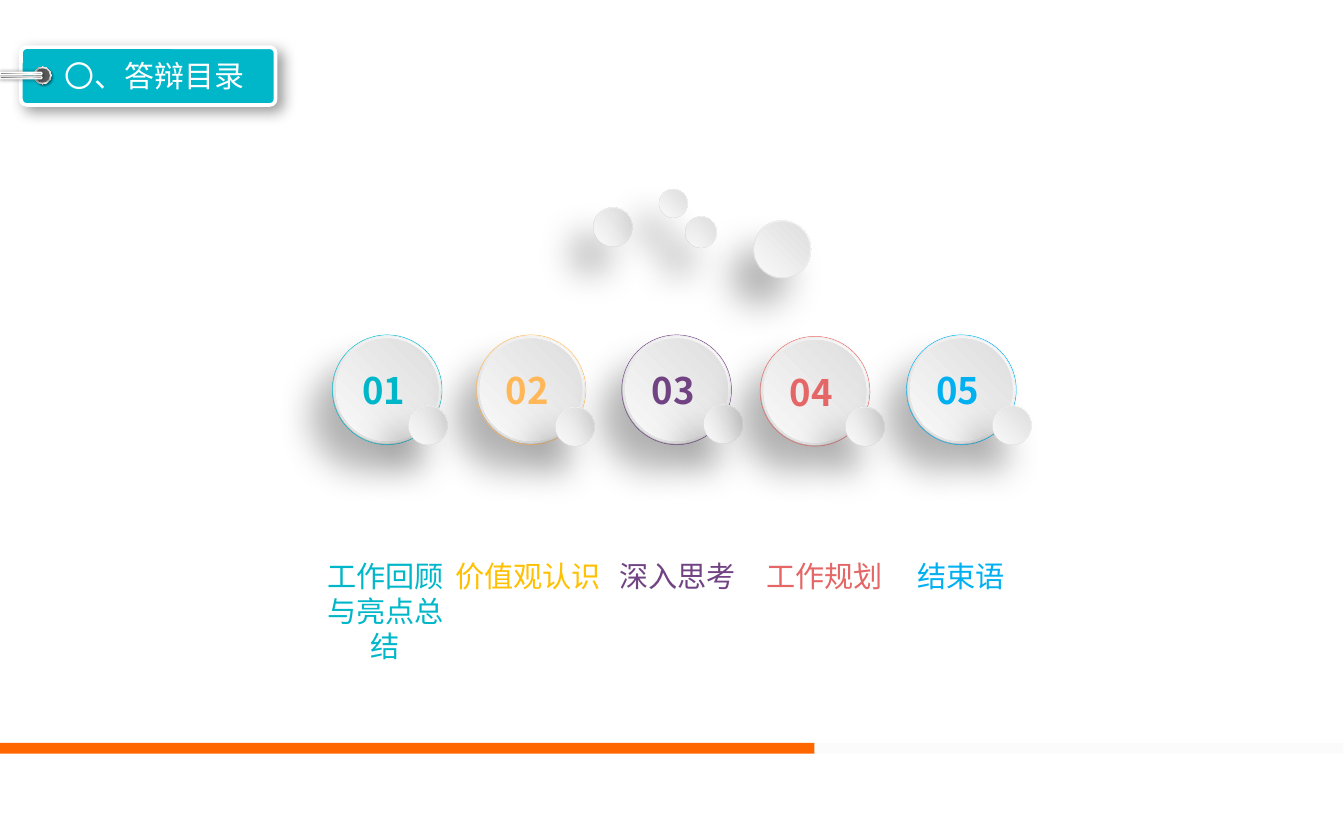
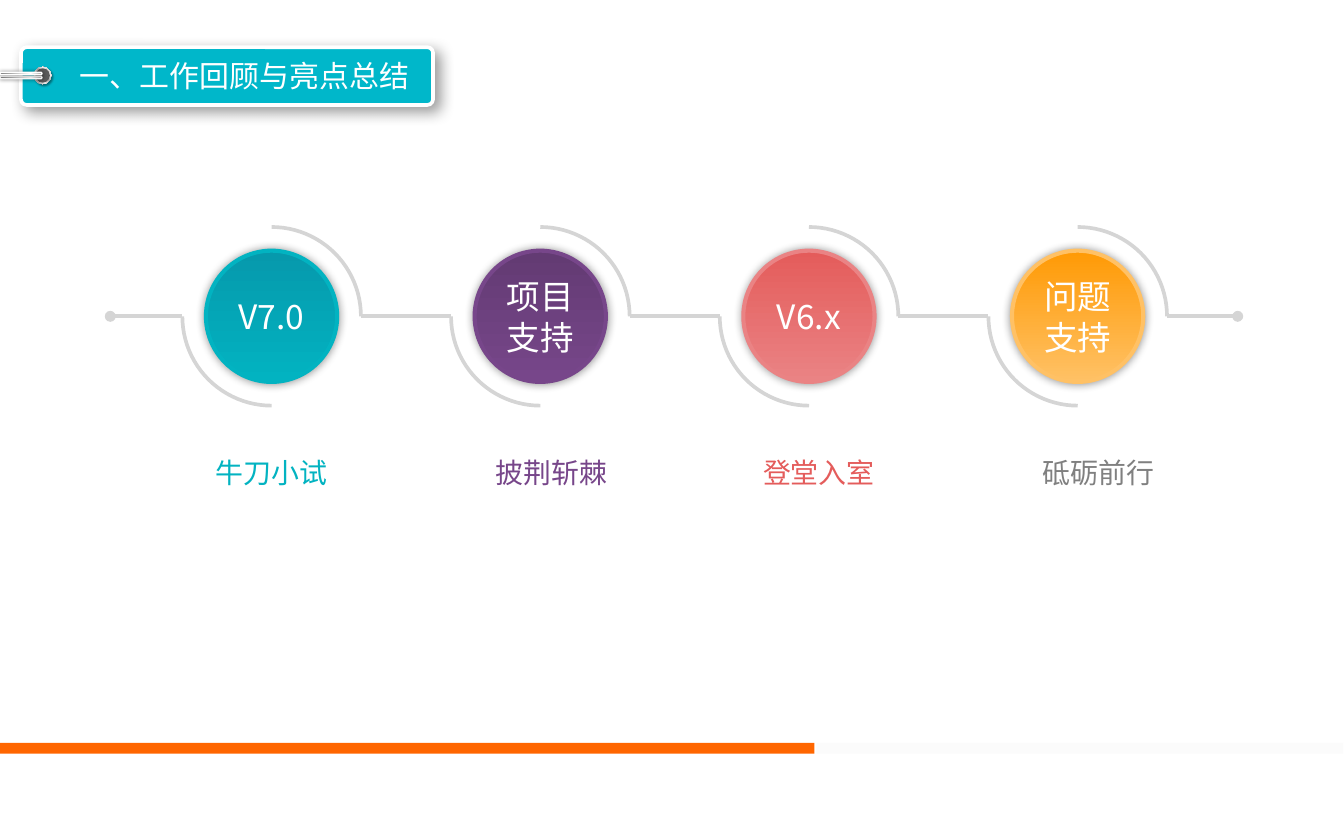
import pptx
import pptx.util
import pptx.dml.color
import pptx.enum.shapes
import pptx.enum.text
import pptx.oxml
import pptx.oxml.ns

Pt = pptx.util.Pt
SHAPE = pptx.enum.shapes.MSO_SHAPE
ALIGN = pptx.enum.text.PP_ALIGN
ANCHOR = pptx.enum.text.MSO_ANCHOR
qn = pptx.oxml.ns.qn

FONT = "Noto Sans CJK SC"
COLOURS = {
    "teal": "00B7CA", "amber": "FFB757", "gold": "FFC000", "purple": "714383",
    "coral": "E56666", "sky": "00B0F0", "white": "FFFFFF", "orange": "FF6600",
    "pale": "FBFBFB", "rail": "D5D5D5", "hole": "595959", "grey": "808080",
    "teal_top": "0699AC", "teal_end": "02B3C1", "purple_top": "633B73", "purple_end": "77468A",
    "coral_top": "E45C5B", "coral_end": "EA8384", "orange_top": "FF9A05", "orange_end": "FFC165",
}
PEARL_RIM = [(0, "FFFFFF"), (100, "D9D9D9")]
PEARL_FACE = [(0, "D9D9D9"), (100, "FEFEFE")]
STEEL_RING = [(0, "FFFFFF"), (17, "A6A6A6"), (35, "F2F2F2"), (55, "A6A6A6"), (75, "F2F2F2"), (100, "A6A6A6")]
STEEL_WIRE = [(0, "808080"), (23, "A6A6A6"), (52, "D9D9D9"), (74, "FFFFFF"), (100, "A6A6A6")]

# Shadows: opacity %, blur, distance, direction
PEARL_SHADOW = (30, 20, 19, 130)
PLATE_SHADOW = (40, 8, 4, 45)
RING_SHADOW = (40, 1, 1, 45)
WIRE_SHADOW = (40, 2, 0, 0)
STAGE_SHADOW = (40, 5, 0, 0)

# Title, plate width, text left, text width
AGENDA_TITLE = ("〇、答辩目录", 139.7, 19.4, 131)
REVIEW_TITLE = ("一、工作回顾与亮点总结", 226.1, 28.1, 212.4)

# Centre x, y and diameter
FLOATING_PEARLS = [(336.2, 124.6, 21.6), (384.5, 127.4, 17.3), (429.1, 136.8, 31.7), (369.4, 111.6, 15.8)]

# Label, disc colour, label colour, disc centre, small pearl centre, label centre x, label width
AGENDA = [
    ("工作回顾与亮点总结", "teal", "teal", (212.4, 213.8), (234.7, 233.3), 211.3, 85.7),
    ("价值观认识", "amber", "gold", (291.3, 213.8), (315.4, 234), 289.8, 167.8),
    ("深入思考", "purple", "purple", (371.2, 213.8), (396.7, 232.6), 371.9, 167.8),
    ("工作规划", "coral", "coral", (447.1, 214.6), (474.5, 234), 452.5, 167.8),
    ("结束语", "sky", "sky", (527.4, 213.8), (555.1, 233.3), 527.4, 167.8),
]

# Stage, motto, gradient top and end, motto colour, motto centre x
STAGES = [
    ("V7.0", "牛刀小试", "teal_top", "teal_end", "teal_end", 149),
    ("项目支持", "披荆斩棘", "purple_top", "purple_end", "purple_end", 302.4),
    ("V6.x", "登堂入室", "coral_top", "coral_end", "coral_top", 449.3),
    ("问题支持", "砥砺前行", "orange_top", "orange_end", "grey", 602.6),
]
STAGE_X, STAGE_Y, STAGE_STEP, STAGE_SIZE, ARC_RADIUS = 149, 173.5, 147.4, 72, 49
RAIL_START, RAIL_END = 60.5, 679


def rgb(name):
    return pptx.dml.color.RGBColor.from_string(COLOURS[name])


def xml(tag, parent, **attributes):
    """Add a drawing element to a parent."""
    child = parent.makeelement(qn(tag), {key: str(value) for key, value in attributes.items()})
    parent.append(child)
    return child


def fill_gradient(box, stops, angle=None):
    """Linear at the given angle, or radial from the top right corner."""
    box.fill.gradient()
    gradient = box._element.spPr.find(qn("a:gradFill"))
    for child in list(gradient):
        gradient.remove(child)
    stop_list = xml("a:gsLst", gradient)
    for position, colour in stops:
        xml("a:srgbClr", xml("a:gs", stop_list, pos=position * 1000), val=colour)
    if angle is None:
        radial = xml("a:path", gradient, path="circle")
        xml("a:fillToRect", radial, l=100000, b=100000)
    else:
        xml("a:lin", gradient, ang=angle * 60000, scaled=0)


def add_box(page, kind, left, top, width, height, fill=None, line=None, weight=1,
            angle=None, rotation=0, shadow=None):
    """Add a shape; fill is a colour name, a list of stops, or None."""
    box = page.shapes.add_shape(kind, Pt(left), Pt(top), Pt(width), Pt(height))
    box.rotation = rotation
    if fill is None:
        box.fill.background()
    elif isinstance(fill, str):
        box.fill.solid()
        box.fill.fore_color.rgb = rgb(fill)
    else:
        fill_gradient(box, fill, angle)
    if line:
        box.line.color.rgb = rgb(line)
        box.line.width = Pt(weight)
    else:
        box.line.fill.background()
    box.shadow.inherit = False
    if shadow:
        opacity, blur, distance, direction = shadow
        outer = xml("a:outerShdw", box._element.spPr.find(qn("a:effectLst")),
                    blurRad=Pt(blur), dist=Pt(distance), dir=direction * 60000, rotWithShape=0)
        xml("a:alpha", xml("a:srgbClr", outer, val="000000"), val=opacity * 1000)
    return box


def add_round(page, center, size, fill=None, kind=SHAPE.OVAL, **style):
    x, y = center
    return add_box(page, kind, x - size / 2, y - size / 2, size, size, fill, **style)


def write(box, text, size, colour, align=ALIGN.CENTER, bold=False):
    box.text_frame.text = text
    para = box.text_frame.paragraphs[0]
    para.alignment = align
    para.line_spacing = Pt(round(size * 1.21, 1))
    span = para.runs[0]
    span.font.size = Pt(size)
    span.font.bold = bold
    span.font.name = FONT
    span.font.color.rgb = rgb(colour)
    xml("a:ea", span._r.get_or_add_rPr(), typeface=FONT)


def add_text(page, left, top, width, height, text, size, colour, wrap=True, **style):
    box = page.shapes.add_textbox(Pt(left), Pt(top), Pt(width), Pt(height))
    box.text_frame.word_wrap = wrap
    write(box, text, size, colour, **style)


def add_pearl(page, center, size):
    add_round(page, center, size, PEARL_RIM, rotation=29.5, shadow=PEARL_SHADOW)
    add_round(page, center, size * 0.955, PEARL_FACE, rotation=29.5)


def add_rail(page, start, end, oval_end=None):
    rail = page.shapes.add_connector(pptx.enum.shapes.MSO_CONNECTOR.STRAIGHT,
                                     Pt(start), Pt(STAGE_Y), Pt(end), Pt(STAGE_Y))
    rail.line.color.rgb = rgb("rail")
    rail.line.width = Pt(2)
    properties = rail._element.spPr
    if oval_end:
        xml(oval_end, properties.find(qn("a:ln")), type="oval")
    xml("a:effectLst", properties)


def add_page(deck, title, plate_width, text_left, text_width):
    """Add a page with the footer bars and the pinned title plate."""
    page = deck.slides.add_slide(deck.slide_layouts[6])
    add_box(page, SHAPE.RECTANGLE, 0, 407.5, 446.8, 5.8, "orange")
    add_box(page, SHAPE.RECTANGLE, 447.8, 407.5, 289, 5.8, "pale")
    plate = add_box(page, SHAPE.ROUNDED_RECTANGLE, 11.5, 25.9, plate_width, 31.7, "teal",
                    line="white", weight=2, shadow=PLATE_SHADOW)
    plate.adjustments[0] = 0.1
    eyelet = (23.4, 41.4)
    add_round(page, eyelet, 9.4, STEEL_RING, angle=45, rotation=270, shadow=RING_SHADOW)
    add_round(page, eyelet, 7.9, "hole")
    for wire_top in (31, 28.8):
        wire = add_box(page, SHAPE.ROUNDED_RECTANGLE, 10.8, wire_top, 1.4, 23, STEEL_WIRE,
                       line="white", weight=0.75, angle=90, rotation=270, shadow=WIRE_SHADOW)
        wire.adjustments[0] = 0.5
    add_text(page, text_left, 28.1, text_width, 27.4, title, 16.4, "white")
    return page


def build_agenda(deck):
    page = add_page(deck, *AGENDA_TITLE)
    for x, y, size in FLOATING_PEARLS:
        add_pearl(page, (x, y), size)
    for number, (label, colour, label_colour, disc, pearl, label_x, width) in enumerate(AGENDA, 1):
        add_pearl(page, disc, 58.8)
        add_round(page, disc, 60.2, kind=SHAPE.FLOWCHART_CONNECTOR, line=colour, weight=0.25)
        add_text(page, disc[0] - 20.9, disc[1] - 15.6, 41.8, 31.7, f"{number:02}", 20, colour,
                 align=ALIGN.LEFT, bold=True)
        add_text(page, label_x - width / 2, 302.4, width, 26.6, label, 16, label_colour)
        add_pearl(page, pearl, 21.6)


def build_review(deck):
    page = add_page(deck, *REVIEW_TITLE)
    rail_start, oval_end = RAIL_START, "a:headEnd"
    for index, (stage, motto, top, end, motto_colour, motto_x) in enumerate(STAGES):
        x = STAGE_X + index * STAGE_STEP
        center = (x, STAGE_Y)
        disc = add_round(page, center, STAGE_SIZE, [(0, COLOURS[top]), (100, COLOURS[end])], angle=90,
                         line=end, weight=2.25, shadow=STAGE_SHADOW)
        frame = disc.text_frame
        frame.word_wrap = True
        frame.vertical_anchor = ANCHOR.MIDDLE
        frame.margin_left = frame.margin_right = Pt(5.8)
        frame.margin_top = frame.margin_bottom = Pt(2.9)
        write(disc, stage, 18.4, "white")
        for rotation in (0, 180):
            add_round(page, center, 2 * ARC_RADIUS, kind=SHAPE.ARC, line="rail", weight=2, rotation=rotation)
        add_rail(page, rail_start, x - ARC_RADIUS, oval_end)
        rail_start, oval_end = x + ARC_RADIUS, None
        add_text(page, motto_x - 38.2, 246.2, 76.4, 25.9, motto, 15.3, motto_colour, wrap=False)
    add_rail(page, rail_start, RAIL_END, "a:tailEnd")


def main():
    deck = pptx.Presentation()
    deck.slide_width, deck.slide_height = Pt(737.28), Pt(453.6)
    build_agenda(deck)
    build_review(deck)
    deck.save("out.pptx")


if __name__ == "__main__":
    main()
